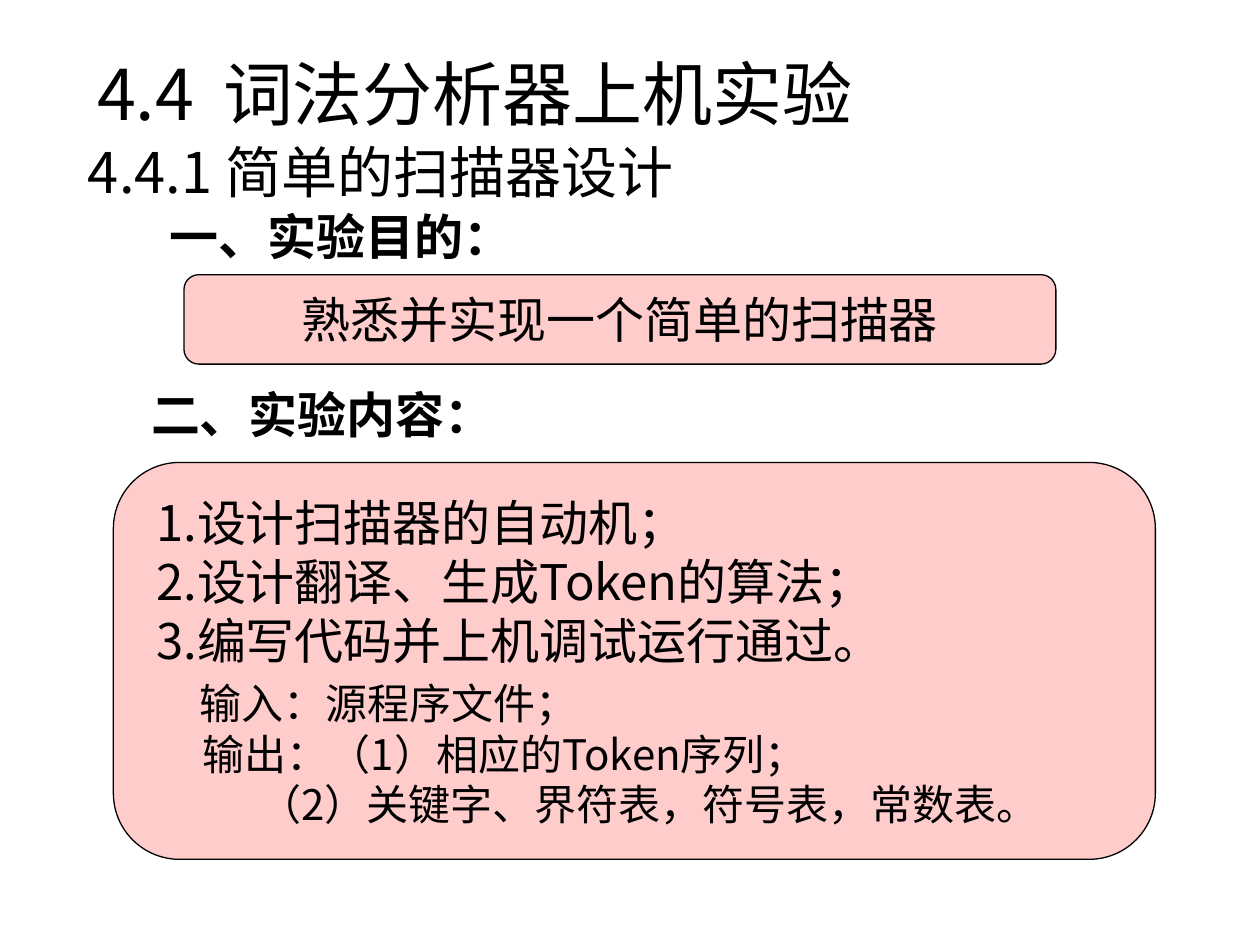
from lxml import etree
from pptx import Presentation
from pptx import util as u
from pptx.dml import color
from pptx.enum import shapes, text
from pptx.oxml import ns

FONT = "Noto Sans CJK SC"


def rgb(value):
    return color.RGBColor.from_string(value)


def write(p, content, size=28, bold=False, indent=0, before=0, tab=None, align=text.PP_ALIGN.LEFT):
    pPr = p._p.get_or_add_pPr()
    pPr.set("marL", str(u.Inches(indent)))
    pPr.set("indent", "0")
    etree.SubElement(pPr, ns.qn("a:buNone"))
    if tab is not None:
        tabs = etree.SubElement(pPr, ns.qn("a:tabLst"))
        etree.SubElement(tabs, ns.qn("a:tab"), pos=str(u.Inches(tab)), algn="l")
    p.alignment = align
    p.line_spacing = u.Pt(size * 1.2)
    p.space_before = u.Pt(before)
    r = p.add_run()
    r.text = content
    r.font.size = u.Pt(size)
    r.font.bold = bold
    r.font.color.rgb = rgb("000000")
    r.font.name = FONT
    etree.SubElement(r.font._element, ns.qn("a:ea"), typeface=FONT)


class Page:
    fill = "FFCCCC"
    line = "000000"

    def __init__(self, prs):
        self.s = prs.slides.add_slide(prs.slide_layouts[1])

    def fill_frame(self, sp, lines, anchor=text.MSO_ANCHOR.TOP):
        tf = sp.text_frame
        tf.word_wrap = True
        tf.auto_size = text.MSO_AUTO_SIZE.NONE
        tf.vertical_anchor = anchor
        for i, (content, style) in enumerate(lines):
            p = tf.add_paragraph() if i else tf.paragraphs[0]
            write(p, content, **style)

    def placeholder(self, index, box, lines):
        sp = self.s.placeholders[index]
        sp.left, sp.top, sp.width, sp.height = map(u.Inches, box)
        self.fill_frame(sp, lines)

    def label(self, box, content, **style):
        sp = self.s.shapes.add_textbox(*map(u.Inches, box))
        self.fill_frame(sp, [(content, style)])

    def card(self, box):
        sp = self.s.shapes.add_shape(
            shapes.MSO_SHAPE.FLOWCHART_ALTERNATE_PROCESS, *map(u.Inches, box))
        sp.shadow.inherit = False
        sp.fill.solid()
        sp.fill.fore_color.rgb = rgb(self.fill)
        sp.line.color.rgb = rgb(self.line)
        sp.line.width = u.Pt(0.75)
        self.s.shapes.title._element.addprevious(sp._element)
        return sp


def main():
    prs = Presentation()
    prs.slide_width, prs.slide_height = u.Inches(10), u.Inches(7.5)
    page = Page(prs)

    page.card((0.9, 3.67, 8.27, 3.15))
    goal = page.card((1.46, 2.18, 6.92, 0.71))
    page.fill_frame(goal, [("熟悉并实现一个简单的扫描器", {"align": text.PP_ALIGN.CENTER})],
                    text.MSO_ANCHOR.MIDDLE)

    page.placeholder(0, (0.67, 0.35, 8.19, 0.75),
                     [("4.4\t词法分析器上机实验", {"size": 40, "tab": 1.28})])
    page.label((0.6, 1.04, 6.83, 0.64), "4.4.1 简单的扫描器设计", size=32)
    page.label((0.75, 1.59, 6.33, 0.57), "一、实验目的：", bold=True, indent=0.5)
    page.label((0.6, 3, 7.92, 0.57), "二、实验内容：", bold=True, indent=0.5)

    page.placeholder(1, (1.14, 3.86, 8.19, 2.77), [
        ("1.设计扫描器的自动机；", {}),
        ("2.设计翻译、生成Token的算法；", {}),
        ("3.编写代码并上机调试运行通过。", {}),
        ("输入：源程序文件；", {"size": 24, "indent": 0.34, "before": 5}),
        ("输出：（1）相应的Token序列；", {"size": 24, "indent": 0.37}),
        ("（2）关键字、界符表，符号表，常数表。", {"size": 24, "indent": 0.82}),
    ])
    prs.save("out.pptx")


if __name__ == "__main__":
    main()
